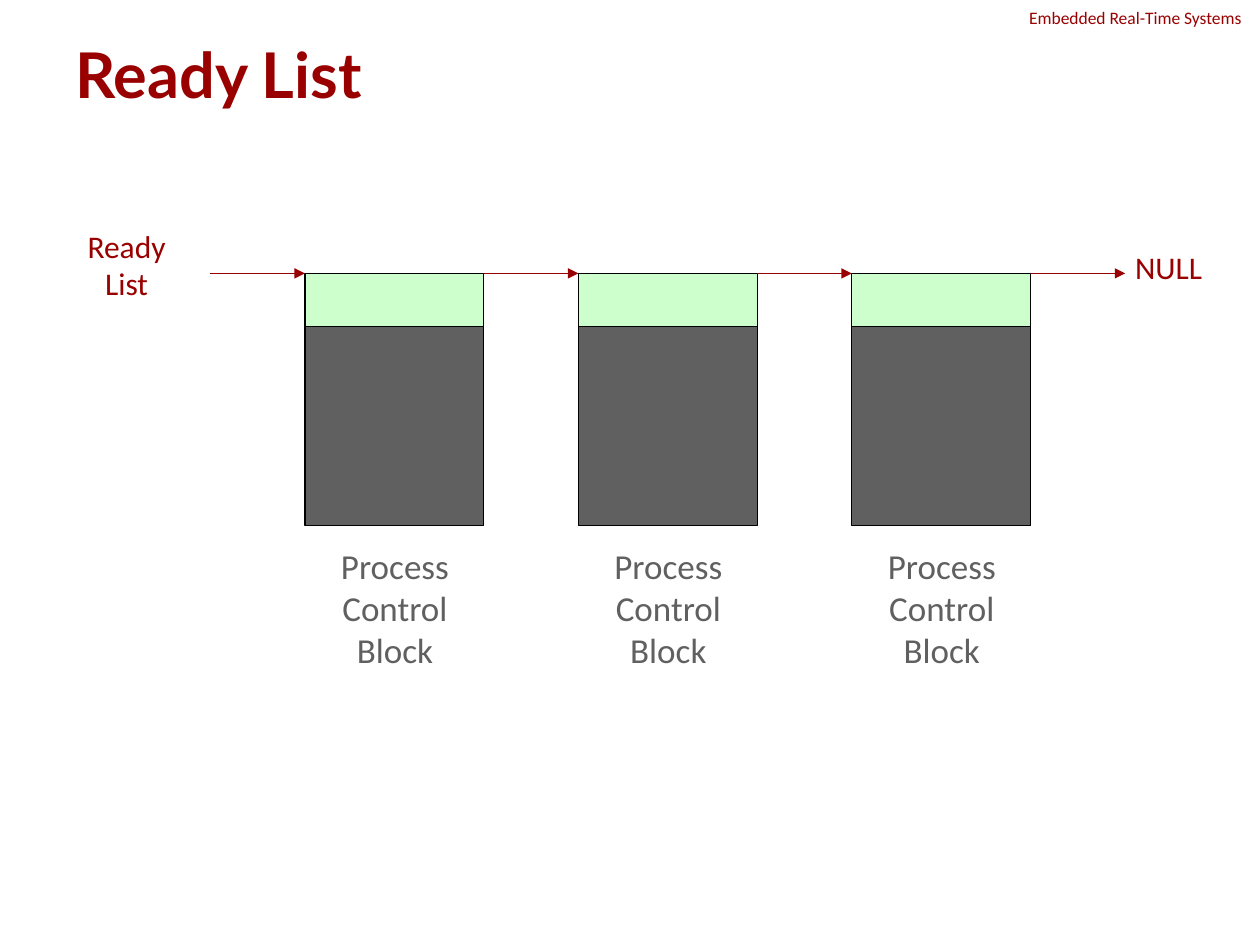
"""Build the Ready List slide: a linked list of process control blocks."""
import pptx
import pptx.dml.color
import pptx.enum.shapes
import pptx.enum.text
import pptx.oxml
import pptx.oxml.ns
import pptx.util
from pptx.util import Inches

RED = pptx.dml.color.RGBColor(0x99, 0x00, 0x00)
GRAY = pptx.dml.color.RGBColor(0x60, 0x60, 0x60)
GREEN = pptx.dml.color.RGBColor(0xCC, 0xFF, 0xCC)
BLACK = pptx.dml.color.RGBColor(0x00, 0x00, 0x00)

LEFT = pptx.enum.text.PP_ALIGN.LEFT
CENTER = pptx.enum.text.PP_ALIGN.CENTER
TOP = pptx.enum.text.MSO_ANCHOR.TOP
MIDDLE = pptx.enum.text.MSO_ANCHOR.MIDDLE

BLOCK_COUNT = 3
FIRST_BLOCK = 2.42
BLOCK_WIDTH = 1.42
LINK_LENGTH = 0.75
LIST_TOP = 2.17
LINK_HEIGHT = 0.42
BODY_HEIGHT = 1.58
PITCH = BLOCK_WIDTH + LINK_LENGTH


def add_label(slide, lines, box, size, color=RED, align=LEFT, anchor=TOP,
              font="Calibri", bold=False):
    """Add a text box with one paragraph per line."""
    frame = slide.shapes.add_textbox(*map(Inches, box)).text_frame
    frame_format = {
        "word_wrap": align == LEFT,
        "auto_size": pptx.enum.text.MSO_AUTO_SIZE.NONE,
        "vertical_anchor": anchor,
        "text": "\n".join(lines),
    }
    for name, value in frame_format.items():
        setattr(frame, name, value)
    font_format = {"name": font, "size": pptx.util.Pt(size), "bold": bold}
    for paragraph in frame.paragraphs:
        paragraph.alignment = align
        run_font = paragraph.runs[0].font
        for name, value in font_format.items():
            setattr(run_font, name, value)
        run_font.color.rgb = color


def add_cell(slide, left, top, height, fill):
    """Add one outlined compartment of a control block."""
    cell = slide.shapes.add_shape(
        pptx.enum.shapes.MSO_SHAPE.RECTANGLE,
        *map(Inches, (left, top, BLOCK_WIDTH, height)))
    cell.shadow.inherit = False
    cell.fill.solid()
    cell.fill.fore_color.rgb = fill
    cell.line.color.rgb = BLACK
    cell.line.width = pptx.util.Pt(0.75)


def add_link(slide, end):
    """Add a pointer arrow that ends at the given horizontal position."""
    link = slide.shapes.add_connector(
        pptx.enum.shapes.MSO_CONNECTOR.STRAIGHT,
        *map(Inches, (end - LINK_LENGTH, LIST_TOP, end, LIST_TOP)))
    link.line.color.rgb = RED
    link.line.width = pptx.util.Pt(0.75)
    arrowhead = pptx.oxml.parse_xml(
        f'<a:tailEnd {pptx.oxml.ns.nsdecls("a")} type="triangle"/>')
    link.line._get_or_add_ln().append(arrowhead)
    link._element.spPr.append(pptx.oxml.parse_xml(
        f'<a:effectLst {pptx.oxml.ns.nsdecls("a")}/>'))


def add_control_block(slide, left):
    """Add a control block with its incoming pointer and caption."""
    add_cell(slide, left, LIST_TOP + LINK_HEIGHT, BODY_HEIGHT, GRAY)
    add_cell(slide, left, LIST_TOP, LINK_HEIGHT, GREEN)
    add_link(slide, left)
    add_label(slide, ["Process", "Control", "Block"],
              (left + 0.18, 4.27, 1.07, 1.11), 20, color=GRAY, align=CENTER)


def main():
    """Create the slide and save it."""
    deck = pptx.Presentation()
    deck.slide_width, deck.slide_height = Inches(10), Inches(7.5)
    slide = deck.slides.add_slide(deck.slide_layouts[6])

    add_label(slide, ["Embedded Real-Time Systems"], (8.07, 0.01, 2.27, 0.27), 10)
    add_label(slide, ["Ready List"], (0.5, 0.3, 9, 0.57), 36,
              anchor=MIDDLE, font="Lato", bold=True)

    for index in range(BLOCK_COUNT):
        add_control_block(slide, FIRST_BLOCK + index * PITCH)
    add_link(slide, FIRST_BLOCK + BLOCK_COUNT * PITCH)

    add_label(slide, ["Ready", "List"], (0.48, 1.75, 1.05, 0.9), 18, align=CENTER)
    add_label(slide, ["NULL"], (8.91, 1.92, 1.09, 0.5), 18)

    deck.save("out.pptx")


if __name__ == "__main__":
    main()
